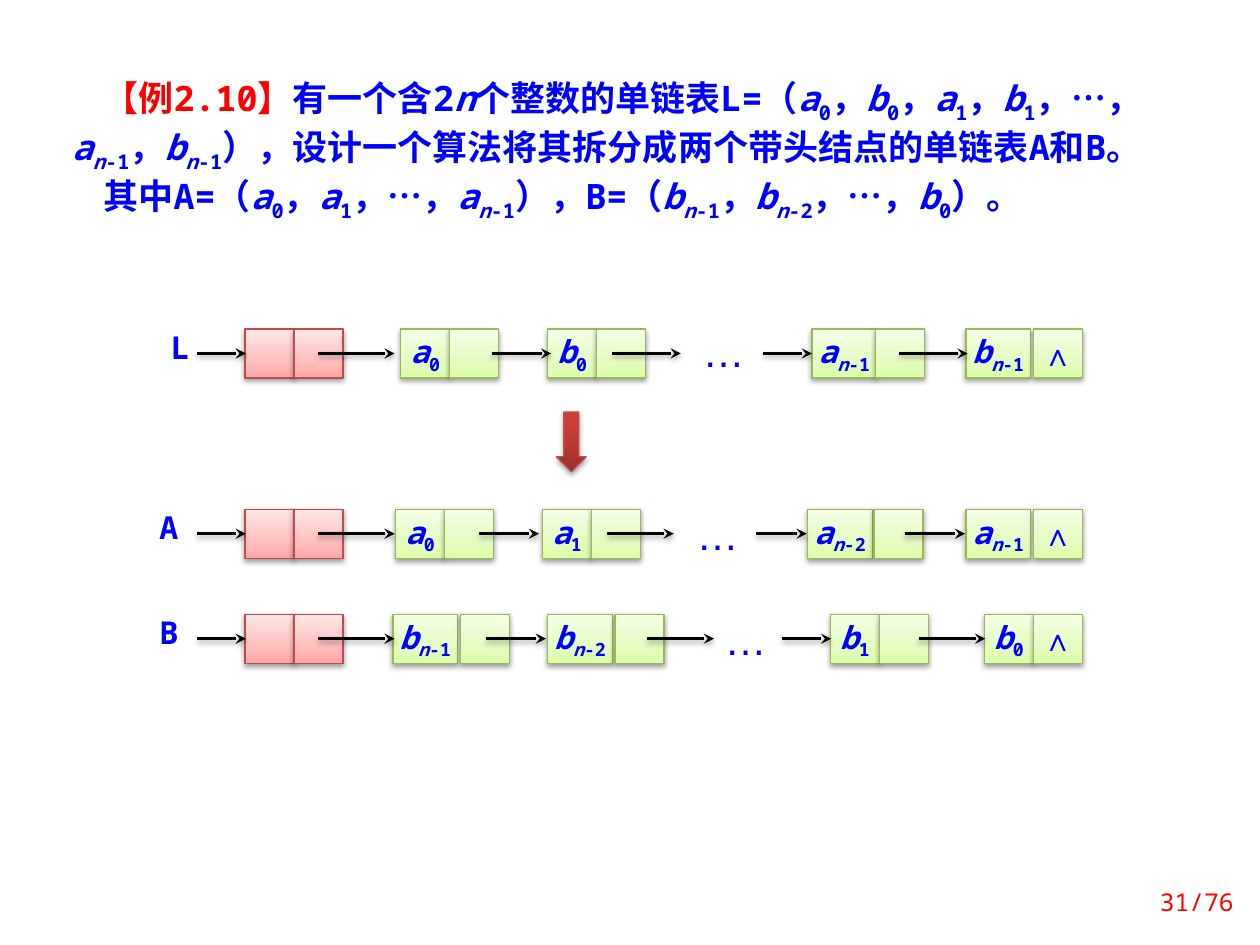
import copy

import pptx
import pptx.dml.color
import pptx.enum.lang
import pptx.enum.shapes
import pptx.enum.text
import pptx.oxml
import pptx.oxml.ns
import pptx.util

Pt = pptx.util.Pt
rgb = pptx.dml.color.RGBColor.from_string
qn = pptx.oxml.ns.qn
ALIGN = pptx.enum.text.PP_ALIGN
ANCHOR = pptx.enum.text.MSO_ANCHOR
SHAPE = pptx.enum.shapes.MSO_SHAPE

MONO = "Noto Sans Mono"
SYMBOL_FONTS = {"…": "Arial", "∧": "Times New Roman"}
BLUE, RED = "0000FF", "FF0000"
NAMESPACE = 'xmlns:a="http://schemas.openxmlformats.org/drawingml/2006/main"'
SHADOW = (
    f'<a:effectLst {NAMESPACE}><a:outerShdw blurRad="40000" dist="20000" dir="5400000" rotWithShape="0">'
    '<a:srgbClr val="000000"><a:alpha val="38000"/></a:srgbClr></a:outerShdw></a:effectLst>'
)
STEALTH = f'<a:tailEnd {NAMESPACE} type="stealth"/>'

# Gradient stops from bottom to top, then the outline colour
PINK = ([(0, "FFA6A5"), (0.35, "FFC0BF"), (1, "FFE7E7")], "BF4C48")
GREEN = ([(0, "DAFDA7"), (0.35, "E4FCC2"), (1, "F5FFE7")], "98B955")
DARK_RED = ([(0, "9C2F2D"), (0.8, "CB3E3A"), (1, "CE3B37")], "BF4C48")


def write_text(shape, lines, size, color=BLUE, bold=True, spacing=0.8,
               align=ALIGN.LEFT, anchor=ANCHOR.TOP, wrap=False, indent=0):
    """Write lines; between bars stand symbols, red headings or terms such as |a n-1|."""
    frame = shape.text_frame
    frame.word_wrap = wrap
    frame.vertical_anchor = anchor
    for number, line in enumerate(lines):
        paragraph = frame.paragraphs[0] if number == 0 else frame.add_paragraph()
        paragraph.alignment = align
        paragraph.line_spacing = spacing
        paragraph.space_before = Pt(0)
        if indent:
            paragraph._p.get_or_add_pPr().set("indent", str(Pt(indent)))
        runs = []
        for position, piece in enumerate(line.split("|")):
            if position % 2 == 0 or piece in SYMBOL_FONTS:
                runs.append((piece, {"name": SYMBOL_FONTS.get(piece, MONO)}, False, color))
            elif piece.startswith("【"):
                runs.append((piece, {}, False, RED))
            else:
                letter, _, index = piece.partition(" ")
                variable = "n" if index.startswith("n") else ""
                runs.append((letter, {"italic": True}, False, color))
                runs.append((variable, {"italic": True}, True, color))
                runs.append((index[len(variable):], {}, True, color))
        for text, changes, subscript, run_color in runs:
            if not text:
                continue
            run = paragraph.add_run()
            run.text = text
            values = {"name": MONO, "size": Pt(size), "bold": bold, "italic": False,
                      "language_id": pptx.enum.lang.MSO_LANGUAGE_ID.SIMPLIFIED_CHINESE}
            for name, value in (values | changes).items():
                setattr(run.font, name, value)
            run.font.color.rgb = rgb(run_color)
            if subscript:
                run._r.get_or_add_rPr().set("baseline", "-25000")


presentation = pptx.Presentation()
presentation.slide_width = Pt(720)
presentation.slide_height = Pt(540)
slide = presentation.slides.add_slide(presentation.slide_layouts[6])
shapes = slide.shapes

problem = shapes.add_textbox(Pt(34), Pt(39.5), Pt(636), Pt(92))
write_text(problem, [
    "|【例2.10】|有一个含2|n|个整数的单链表L=（|a 0|，|b 0|，|a 1|，|b 1|，|…|，|a n-1|，|b n-1|"
    "），设计一个算法将其拆分成两个带头结点的单链表A和B。",
    "其中A=（|a 0|，|a 1|，|…|，|a n-1|），B=（|b n-1|，|b n-2|，|…|，|b 0|）。",
], 20, spacing=Pt(28), wrap=True, indent=18)

# Each node: left of the data cell, left of the pointer cell, data.
# Each link: start and end of an arrow. Dots: left and drop below the row top.
CELL, WIDE_CELL = 28, 37
lists = [
    {"name": "L", "label_left": 90.5, "top": 188, "dots": (394.5, 0),
     "nodes": [(229, 257, "a 0"), (313, 341, "b 0"), (464, 500.5, "a n-1"), (552, 590.5, "b n-1")],
     "links": [(281, 315), (350, 389), (436, 464), (514, 553)]},
    {"name": "A", "label_left": 84, "top": 291, "dots": (391, 1.5),
     "nodes": [(226, 254, "a 0"), (310, 338, "a 1"), (461.5, 499.5, "a n-2"), (552, 590.5, "a n-1")],
     "links": [(274, 308), (347, 385), (432, 461), (517, 551.5)]},
    {"name": "B", "label_left": 84, "top": 351, "dots": (407, 1.5),
     "nodes": [(224.5, 263, "b n-1"), (313, 351.5, "b n-2"), (474.5, 502.5, "b 1"), (562.5, 590.5, "b 0")],
     "links": [(278, 312), (370, 408), (447, 475), (525, 563)]},
]

blocks = [(SHAPE.DOWN_ARROW, 318, 235.5, 17, 34, DARK_RED, "")]
for row in lists:
    top = row["top"]
    for left in (140, 168):
        blocks.append((SHAPE.RECTANGLE, left, top, CELL, CELL, PINK, ""))
    for left, pointer_left, data in row["nodes"]:
        width = WIDE_CELL if "n" in data else CELL
        pointer = "|∧|" if (left, pointer_left, data) == row["nodes"][-1] else ""
        blocks.append((SHAPE.RECTANGLE, left, top, width, CELL, GREEN, f"|{data}|"))
        blocks.append((SHAPE.RECTANGLE, pointer_left, top, CELL, CELL, GREEN, pointer))

for geometry, left, top, width, height, (stops, outline), label in blocks:
    block = shapes.add_shape(geometry, Pt(left), Pt(top), Pt(width), Pt(height))
    block.fill.gradient()
    block.fill.gradient_angle = 90
    stop_list = block._element.spPr.find(".//" + qn("a:gsLst"))
    stop_list.append(copy.deepcopy(stop_list[-1]))
    for stop, (position, color) in zip(block.fill.gradient_stops, stops):
        stop.position = position
        stop.color.rgb = rgb(color)
    block.line.color.rgb = rgb(outline)
    block.line.width = Pt(0.75)
    block._element.spPr.append(pptx.oxml.parse_xml(SHADOW))
    if label:
        write_text(block, [label], 18, spacing=1 if label == "|∧|" else 0.8,
                   align=ALIGN.CENTER, anchor=ANCHOR.MIDDLE)

for row in lists:
    top = row["top"]
    middle = Pt(top + CELL / 2)
    name_box = shapes.add_textbox(Pt(row["label_left"]), Pt(top), Pt(40), Pt(25))
    write_text(name_box, [row["name"]], 18)
    dots_left, drop = row["dots"]
    dots_box = shapes.add_textbox(Pt(dots_left), Pt(top + drop), Pt(42), Pt(30))
    write_text(dots_box, ["|…|"], 24, bold=False)
    for start, end in [(112.5, 140.5), (182, 225.5), *row["links"]]:
        arrow = shapes.add_connector(pptx.enum.shapes.MSO_CONNECTOR.STRAIGHT,
                                     Pt(start), middle, Pt(end), middle)
        arrow.line.color.rgb = rgb("000000")
        arrow.line.width = Pt(1.5)
        properties = arrow._element.spPr
        properties.find(qn("a:ln")).append(pptx.oxml.parse_xml(STEALTH))
        properties.append(pptx.oxml.parse_xml(SHADOW))

page_number = shapes.add_textbox(Pt(646.5), Pt(500.5), Pt(65.5), Pt(29))
write_text(page_number, ["31/76"], 14, color=RED, bold=False, spacing=1,
           align=ALIGN.RIGHT, anchor=ANCHOR.MIDDLE, wrap=True)

presentation.save("out.pptx")
